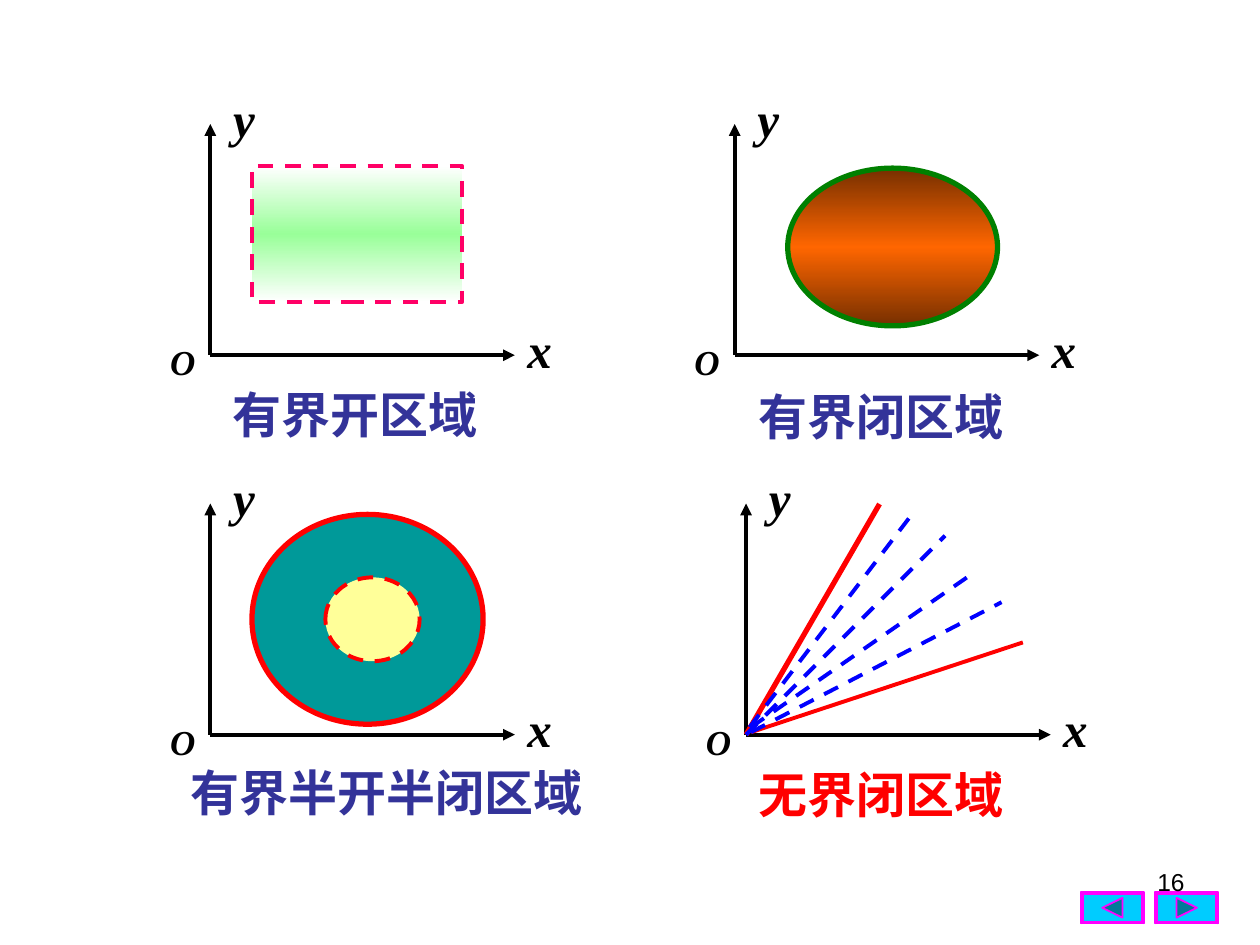
from copy import deepcopy
from pptx import Presentation
from pptx.dml.color import RGBColor
from pptx.enum.dml import MSO_LINE_DASH_STYLE as DASH
from pptx.enum.shapes import MSO_CONNECTOR, MSO_SHAPE as SHAPE
from pptx.enum.text import PP_ALIGN
from pptx.oxml.ns import qn
from pptx.util import Cm, Pt
from lxml.etree import SubElement

BLACK = RGBColor(0, 0, 0)
WHITE = RGBColor(0xFF, 0xFF, 0xFF)
RED = RGBColor(0xFF, 0, 0)
BLUE = RGBColor(0, 0, 0xFF)
INDIGO = RGBColor(0x33, 0x33, 0x99)
MINT = RGBColor(0x99, 0xFF, 0x99)
PINK = RGBColor(0xFF, 0, 0x66)
ORANGE = RGBColor(0xFF, 0x66, 0)
BROWN = RGBColor(0x76, 0x2F, 0)
GREEN = RGBColor(0, 0x80, 0)
TEAL = RGBColor(0, 0x99, 0x99)
YELLOW = RGBColor(0xFF, 0xFF, 0x99)
CYAN = RGBColor(0, 0xCC, 0xFF)
DEEP_CYAN = RGBColor(0, 0x7A, 0x99)
MAGENTA = RGBColor(0xFF, 0, 0xFF)

SERIF = "Times New Roman"
AXIS_X, AXIS_Y = 6.14, 4.66

ORIGINS = [(4.24, 7.16), (14.81, 7.16), (4.24, 14.81), (15.04, 14.81)]
AXIS_LABELS = [
    ("O", -1.06, -0.42, 1.48, 1.12, 20),
    ("x", AXIS_X, -0.85, 1.9, 1.45, 28),
    ("y", 0.21, -5.5, 2.54, 1.45, 28),
]
REGIONS = [
    (SHAPE.RECTANGLE, (5.08, 3.35, 4.24, 2.74), (WHITE, MINT), PINK, 2.25, True),
    (SHAPE.OVAL, (15.88, 3.39, 4.23, 3.18), (BROWN, ORANGE), GREEN, 3, False),
    (SHAPE.OVAL, (5.08, 10.37, 4.66, 4.23), (TEAL,), RED, 3, False),
    (SHAPE.OVAL, (6.56, 11.64, 1.9, 1.69), (YELLOW,), RED, 2.25, True),
]
RAYS = [
    ((15.14, 14.76), (20.62, 12.95), RED, 2.25, False),
    ((15.04, 14.81), (17.73, 10.16), RED, 3, False),
    ((15.04, 14.81), (19.05, 10.8), BLUE, 2.25, True),
    ((15.14, 14.66), (19.58, 11.58), BLUE, 2.25, True),
    ((15.14, 14.76), (20.19, 12.14), BLUE, 2.25, True),
    ((15.11, 14.66), (18.39, 10.36), BLUE, 2.25, True),
]
CAPTIONS = [
    ("有界开区域", 4.44, 7.62, 6.56, INDIGO),
    ("有界半开半闭区域", 3.6, 15.24, 8.68, INDIGO),
    ("有界闭区域", 15.04, 7.67, 5.93, INDIGO),
    ("无界闭区域", 15.04, 15.29, 6.14, RED),
]
BUTTON_TOP, BUTTON_W, BUTTON_H = 17.98, 1.27, 0.64
BUTTONS = [(23.29, 0.43, 0.84), (21.79, 0.84, 0.43)]


def style_line(line, color, width, dashed=False):
    line.color.rgb = color
    line.width = Pt(width)
    if dashed:
        line.dash_style = DASH.DASH


def fill_solid(sp, color):
    sp.shadow.inherit = False
    sp.fill.solid()
    sp.fill.fore_color.rgb = color


def fill_banded(sp, edge, middle):
    sp.shadow.inherit = False
    sp.fill.gradient()
    sp.fill.gradient_angle = 90
    stops = sp._element.spPr.find(qn("a:gradFill")).find(qn("a:gsLst"))
    stops.insert(1, deepcopy(stops[0]))
    for stop, color, pos in zip(sp.fill.gradient_stops, (edge, middle, edge), (0, 0.5, 1)):
        stop.color.rgb = color
        stop.position = pos


def add_line(start, end, color, width, dashed=False, arrow=False):
    points = [Cm(v) for v in (*start, *end)]
    c = s.shapes.add_connector(MSO_CONNECTOR.STRAIGHT, *points)
    style_line(c.line, color, width, dashed)
    if arrow:
        SubElement(c.line._get_or_add_ln(), qn("a:tailEnd"), type="triangle")
    SubElement(c._element.spPr, qn("a:effectLst"))


def add_text(text, x, y, w, h, size, color, font=SERIF, bold=True, italic=False, align=PP_ALIGN.LEFT):
    tf = s.shapes.add_textbox(Cm(x), Cm(y), Cm(w), Cm(h)).text_frame
    tf.word_wrap = True
    p = tf.paragraphs[0]
    p.text = text
    p.alignment = align
    f = p.font
    f.name, f.size, f.bold, f.italic = font, Pt(size), bold, italic
    f.color.rgb = color


prs = Presentation()
prs.slide_width, prs.slide_height = Cm(25.4), Cm(19.05)
s = prs.slides.add_slide(prs.slide_layouts[6])

for left, base, tip in BUTTONS:
    sp = s.shapes.add_shape(SHAPE.BEVEL, Cm(left), Cm(BUTTON_TOP), Cm(BUTTON_W), Cm(BUTTON_H))
    sp.adjustments[0] = 0.06
    fill_solid(sp, CYAN)
    style_line(sp.line, MAGENTA, 1)
    fb = s.shapes.build_freeform(Cm(left + base), Cm(BUTTON_TOP + 0.12))
    fb.add_line_segments([
        (Cm(left + tip), Cm(BUTTON_TOP + BUTTON_H / 2)),
        (Cm(left + base), Cm(BUTTON_TOP + BUTTON_H - 0.12)),
    ])
    sp = fb.convert_to_shape()
    fill_solid(sp, DEEP_CYAN)
    style_line(sp.line, MAGENTA, 1)

add_text("16", 18.2, 17.36, 5.93, 1.32, 14, BLACK, "Arial", False, align=PP_ALIGN.RIGHT)

for kind, box, colors, outline, width, dashed in REGIONS:
    sp = s.shapes.add_shape(kind, *(Cm(v) for v in box))
    if len(colors) == 2:
        fill_banded(sp, *colors)
    else:
        fill_solid(sp, colors[0])
    style_line(sp.line, outline, width, dashed)

for x, y in ORIGINS:
    for end in ((x + AXIS_X, y), (x, y - AXIS_Y)):
        add_line((x, y), end, BLACK, 2.25, arrow=True)
    for text, dx, dy, w, h, size in AXIS_LABELS:
        add_text(text, x + dx, y + dy, w, h, size, BLACK, italic=True)

for ray in RAYS:
    add_line(*ray)

for text, x, y, w, color in CAPTIONS:
    add_text(text, x, y, w, 1.45, 28, color)

prs.save("out.pptx")
